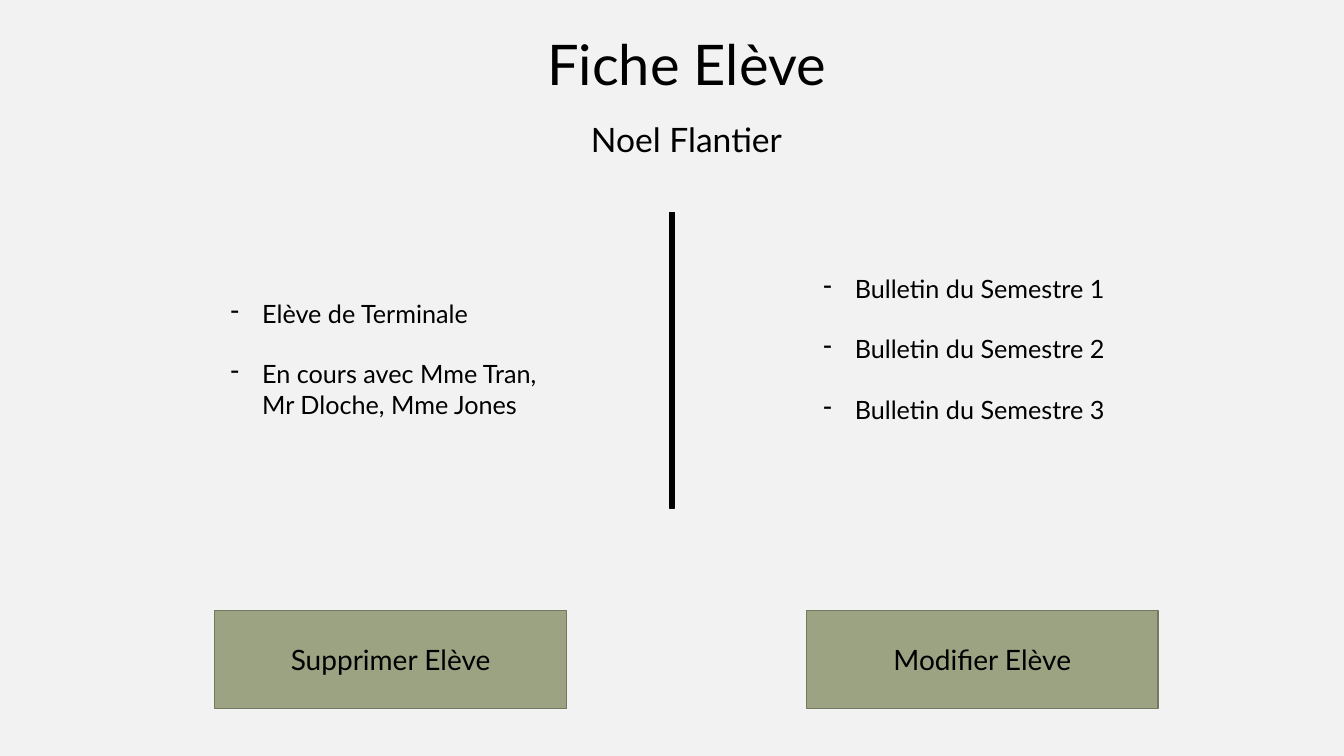
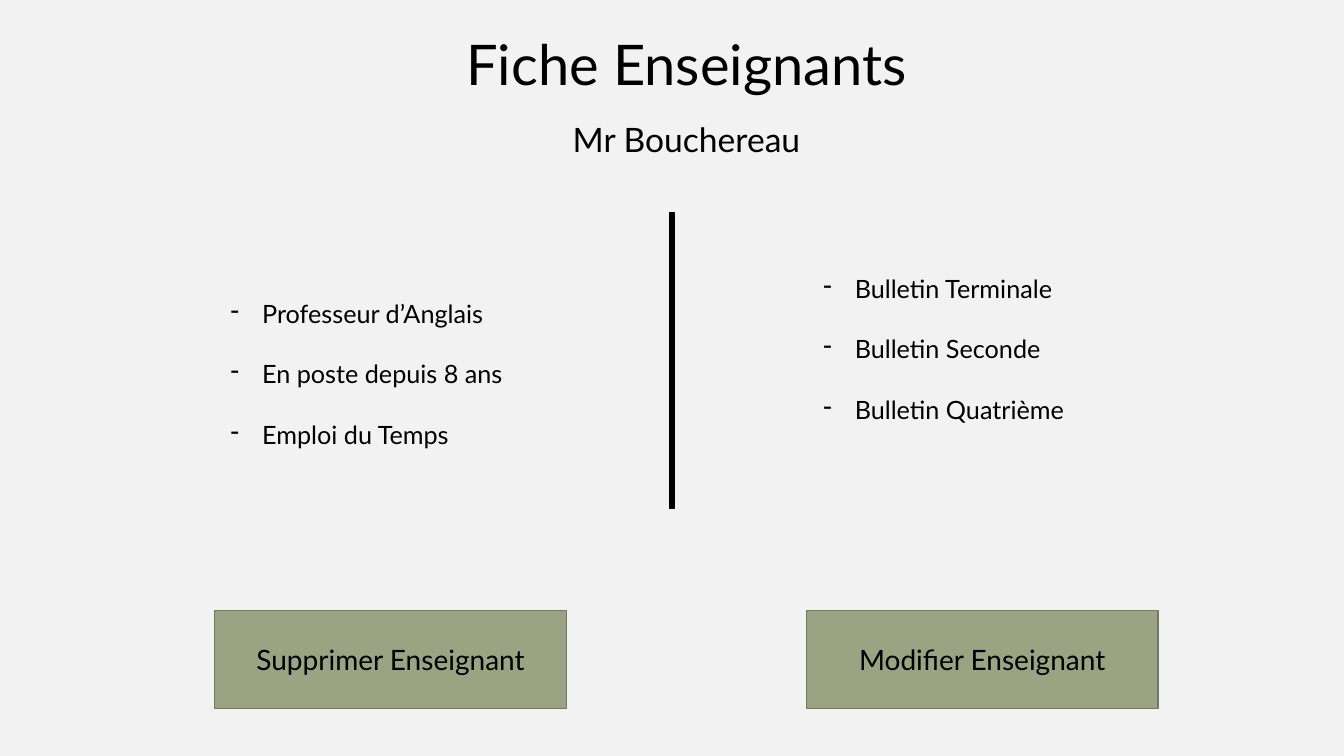
from lxml import etree
from pptx import Presentation
from pptx.dml.color import RGBColor
from pptx.enum.shapes import MSO_SHAPE
from pptx.enum.text import MSO_ANCHOR, MSO_AUTO_SIZE, PP_ALIGN
from pptx.oxml.ns import qn
from pptx.util import Pt

COLORS = {"background": "F2F2F2", "ink": "000000",
          "button": "9CA383", "button_line": "737961"}
FONT = "Lato"
TITLE_ONLY = 5

# Boxes shared by every record sheet: left, top, width, height
TITLE_BOX = (311, 17.3, 358.6, 55.4)
NAME_BOX = (311, 81.4, 358.6, 36)
DIVIDER_BOX = (478, 152, 3.6, 211)
DETAILS_BOX = (157.7, 209.5, 242, 138)
REPORTS_BOX = (581, 191.5, 242, 138)
DELETE_BOX = (153.4, 436.3, 251.3, 69.8)
EDIT_BOX = (576, 436.3, 251.3, 69.8)
BULLET_INDENT = 22.5
BULLET_GAP = 21.6


def rgb(name):
    return RGBColor.from_string(COLORS[name])


def points(box):
    return [Pt(length) for length in box]


def write(shape, lines, size, align=PP_ALIGN.CENTER, anchor=MSO_ANCHOR.TOP):
    frame = shape.text_frame
    frame.text = "\n".join(lines)
    frame.word_wrap = True
    frame.auto_size = MSO_AUTO_SIZE.NONE
    frame.vertical_anchor = anchor
    for paragraph in frame.paragraphs:
        paragraph.alignment = align
        paragraph.font.name = FONT
        paragraph.font.size = Pt(size)
        paragraph.font.color.rgb = rgb("ink")
    return frame


def add_heading(slide, title, name):
    heading = slide.shapes.title
    heading.left, heading.top, heading.width, heading.height = points(TITLE_BOX)
    write(heading, [title], 40)
    write(slide.shapes.add_textbox(*points(NAME_BOX)), [name], 24)


def add_block(slide, box, fill, line):
    block = slide.shapes.add_shape(MSO_SHAPE.RECTANGLE, *points(box))
    block.shadow.inherit = False
    block.fill.solid()
    block.fill.fore_color.rgb = rgb(fill)
    block.line.color.rgb = rgb(line)
    block.line.width = Pt(1)
    return block


def add_button(slide, box, label):
    button = add_block(slide, box, "button", "button_line")
    write(button, [label], 20, anchor=MSO_ANCHOR.MIDDLE)


def add_dash_list(slide, box, items):
    frame = write(slide.shapes.add_textbox(*points(box)), items, 18, PP_ALIGN.LEFT)
    for index, paragraph in enumerate(frame.paragraphs):
        paragraph.space_before = Pt(BULLET_GAP if index else 0)
        properties = paragraph._p.get_or_add_pPr()
        properties.set("marL", str(Pt(BULLET_INDENT)))
        properties.set("indent", str(-Pt(BULLET_INDENT)))
        bullet = etree.Element(qn("a:buChar"), char="-")
        # The bullet must come before the default run properties
        properties.find(qn("a:defRPr")).addprevious(bullet)


def add_record_sheet(presentation, title, name, details, reports, role):
    slide = presentation.slides.add_slide(presentation.slide_layouts[TITLE_ONLY])
    add_heading(slide, title, name)
    add_button(slide, DELETE_BOX, f"Supprimer {role}")
    add_button(slide, EDIT_BOX, f"Modifier {role}")
    add_dash_list(slide, DETAILS_BOX, details)
    add_dash_list(slide, REPORTS_BOX, reports)
    add_block(slide, DIVIDER_BOX, "ink", "ink")


presentation = Presentation()
presentation.slide_width, presentation.slide_height = Pt(960), Pt(540)
background = presentation.slide_master.background.fill
background.solid()
background.fore_color.rgb = rgb("background")

# Student sheet
add_record_sheet(
    presentation, "Fiche Elève", "Noel Flantier",
    ["Elève de Terminale", "En cours avec Mme Tran, Mr Dloche, Mme Jones"],
    [f"Bulletin du Semestre {number}" for number in (1, 2, 3)],
    "Elève")

# Teacher sheet
add_record_sheet(
    presentation, "Fiche Enseignants", "Mr Bouchereau",
    ["Professeur d’Anglais", "En poste depuis 8 ans", "Emploi du Temps"],
    [f"Bulletin {level}" for level in ("Terminale", "Seconde", "Quatrième")],
    "Enseignant")

presentation.save("out.pptx")
